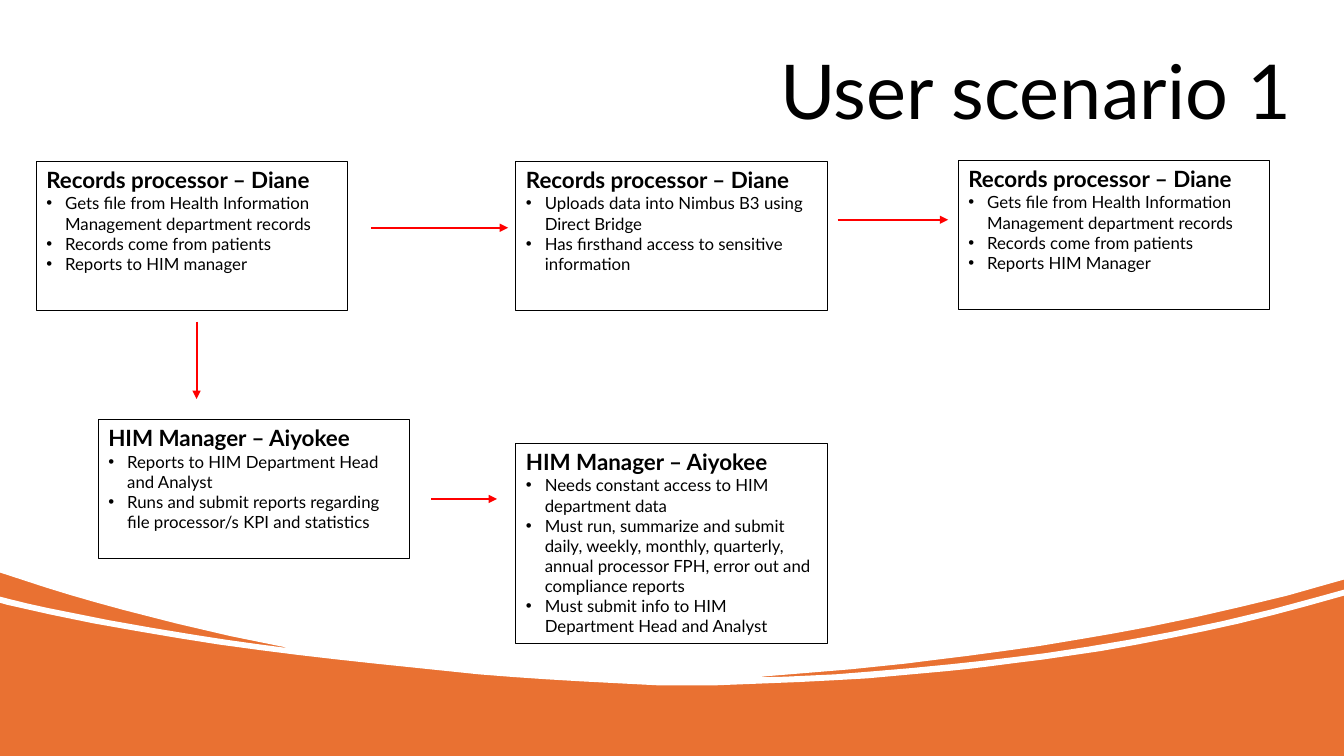
from pptx import Presentation
from pptx.dml.color import RGBColor
from pptx.enum.shapes import MSO_CONNECTOR as Line, MSO_SHAPE as Preset
from pptx.enum.text import MSO_ANCHOR as Anchor, MSO_AUTO_SIZE as AutoSize, PP_ALIGN as Align
from pptx.oxml.ns import qn
from pptx.util import Pt
from lxml.etree import SubElement

FONT = "Lato"
BLACK, WHITE, ORANGE, RED = "000000", "FFFFFF", "E97132", "FF0000"
SLIDE_WIDTH, SLIDE_HEIGHT = 960, 540
CARD_WIDTH = 222.4
BULLET_INDENT = 13.5

# White area above the wave: two numbers are a corner,
# six are two control points and the end of a curve
WAVE = [
    (0, 0), (960, 0), (960, 414), (949.7, 416.9),
    # Right crescent, upper then lower edge
    (939.6, 419.8, 929.5, 422.6, 919.4, 425.5),
    (887, 433.4, 853.9, 441.4, 820.8, 447.8),
    (794.9, 452.9, 768.2, 457.2, 742.3, 461.5),
    (717.1, 465.1, 691.2, 468.7, 666, 471.6),
    (646.6, 474.5, 627.1, 475.9, 607.7, 478.1),
    (547.2, 483.1), (535, 484.6), (542.2, 483.8),
    (560.2, 483.8, 578.9, 482.4, 596.9, 481.7),
    (624.2, 479.5, 651.6, 477.4, 679, 474.5),
    (701.3, 472.3, 724.3, 469.4, 746.6, 466.6),
    (776.9, 462.2, 807.1, 457.2, 836.6, 451.4),
    (873.4, 444.2, 909.4, 435.6, 944.6, 425.5),
    (960, 421.2), (960, 425.5), (931.7, 433.4),
    # Main crest, from right to left
    (907.9, 439.9, 884.9, 445.7, 861.1, 450.7),
    (836.6, 455.8, 811.4, 460.8, 786.2, 465.1),
    (765.4, 468, 744.5, 471.6, 723.6, 473.8),
    (707.8, 475.9, 691.2, 478.1, 675.4, 479.5), (619.2, 484.6),
    (594.7, 486, 570.2, 487.4, 545.8, 488.2),
    (509.8, 489.6), (470.9, 489.6), (414.7, 486.7),
    (390.2, 485.3, 366.5, 483.8, 342, 481.7), (265.7, 473.8),
    (239, 470.9, 212.4, 468, 185.8, 464.4),
    (156.2, 460.8, 126.7, 455.8, 97.2, 450.7),
    (66.2, 445.7, 36, 439.2, 5, 432),
    (0, 430.6), (0, 426.2), (5.8, 427.7),
    # Left crescent, lower then upper edge
    (19.4, 431.3, 33.1, 434.2, 47.5, 437),
    (77.8, 443.5, 108.7, 448.6, 139.7, 453.6),
    (161.3, 457.2, 183.6, 460.1, 205.9, 463), (203, 462.2),
    (164.2, 455, 126, 445.7, 87.8, 435.6),
    (69.1, 430.6, 51.1, 425.5, 33.1, 419.8), (0, 409),
]

# Cards: left, top, height, heading, tasks
PROCESSOR, MANAGER = "Records processor – Diane", "HIM Manager – Aiyokee"
INTAKE = ["Gets file from Health Information Management department records",
          "Records come from patients"]
CARDS = [
    (26, 115.2, 106.5, PROCESSOR, INTAKE + ["Reports to HIM manager"]),
    (368.6, 115.2, 106.5, PROCESSOR,
     ["Uploads data into Nimbus B3 using Direct Bridge",
      "Has firsthand access to sensitive information"]),
    (684.6, 114.5, 106.5, PROCESSOR, INTAKE + ["Reports HIM Manager"]),
    (70.3, 299.7, 99.2, MANAGER,
     ["Reports to HIM Department Head and Analyst",
      "Runs and submit reports regarding file processor/s KPI and statistics"]),
    (368.6, 316.6, 143, MANAGER,
     ["Needs constant access to HIM department data",
      "Must run, summarize and submit daily, weekly, monthly, quarterly, "
      "annual processor FPH, error out and compliance reports",
      "Must submit info to HIM Department Head and Analyst"]),
]

# Arrows: start x, start y, end x, end y
ARROWS = [(265, 162.7, 362.9, 162.7), (598.3, 157, 677.3, 157),
          (140.4, 229.7, 140.4, 285), (308.2, 356.4, 355, 356.4)]


def color(hex_value):
    return RGBColor.from_string(hex_value)


def apply(target, **values):
    for name, value in values.items():
        setattr(target, name, value)


def trace(segments, steps=3):
    """Corner points of an outline, with each curve cut into steps."""
    points = []
    for *controls, x, y in segments:
        if controls:
            (x0, y0), (x1, y1, x2, y2) = points[-1], controls
            for step in range(1, steps + 1):
                t = step / steps
                weights = ((1 - t) ** 3, 3 * t * (1 - t) ** 2, 3 * t ** 2 * (1 - t), t ** 3)
                points.append(tuple(
                    sum(w * v for w, v in zip(weights, axis))
                    for axis in ((x0, x1, x2, x), (y0, y1, y2, y))))
        else:
            points.append((x, y))
    return points


def paint(area, fill):
    area.shadow.inherit = False
    area.fill.solid()
    area.fill.fore_color.rgb = color(fill)
    area.line.fill.background()


def add_backdrop(slide):
    ground = slide.shapes.add_shape(
        Preset.RECTANGLE, 0, 0, Pt(SLIDE_WIDTH), Pt(SLIDE_HEIGHT))
    paint(ground, ORANGE)
    start, *corners = [(Pt(x), Pt(y)) for x, y in trace(WAVE)]
    outline = slide.shapes.build_freeform(*start)
    outline.add_line_segments(corners, close=True)
    paint(outline.convert_to_shape(), WHITE)


def write(paragraph, text, size, bold=False, align=Align.LEFT):
    apply(paragraph, text=text, alignment=align)
    apply(paragraph.font, name=FONT, size=Pt(size), bold=bold)
    paragraph.font.color.rgb = color(BLACK)


def add_bullet(paragraph):
    props = paragraph._p.get_or_add_pPr()
    props.set("marL", str(Pt(BULLET_INDENT)))
    props.set("indent", str(-Pt(BULLET_INDENT)))
    # The bullet must precede any default run properties
    props.insert(0, props.makeelement(qn("a:buFont"), {"typeface": "Arial"}))
    props.insert(1, props.makeelement(qn("a:buChar"), {"char": "•"}))


def set_title(slide, text):
    title = slide.shapes.title
    apply(title, left=Pt(549.4), top=Pt(27.4), width=Pt(380.9), height=Pt(72.7))
    apply(title.text_frame, auto_size=AutoSize.NONE, word_wrap=False,
          vertical_anchor=Anchor.MIDDLE)
    write(title.text_frame.paragraphs[0], text, 54, align=Align.CENTER)
    # Bring the title in front of the backdrop
    title._element.getparent().append(title._element)


def add_card(slide, left, top, height, heading, tasks):
    card = slide.shapes.add_shape(
        Preset.RECTANGLE, Pt(left), Pt(top), Pt(CARD_WIDTH), Pt(height))
    card.shadow.inherit = False
    card.fill.background()
    card.line.color.rgb = color(BLACK)
    card.line.width = Pt(0.75)
    frame = card.text_frame
    apply(frame, word_wrap=True, vertical_anchor=Anchor.TOP)
    write(frame.paragraphs[0], heading, 16, bold=True)
    for task in tasks:
        paragraph = frame.add_paragraph()
        write(paragraph, task, 12)
        add_bullet(paragraph)


def add_arrow(slide, *ends):
    arrow = slide.shapes.add_connector(Line.STRAIGHT, *map(Pt, ends))
    arrow.line.color.rgb = color(RED)
    arrow.line.width = Pt(1.5)
    SubElement(arrow.line._get_or_add_ln(), qn("a:tailEnd"), type="triangle")
    SubElement(arrow._element.spPr, qn("a:effectLst"))


def main():
    deck = Presentation()
    apply(deck, slide_width=Pt(SLIDE_WIDTH), slide_height=Pt(SLIDE_HEIGHT))
    slide = deck.slides.add_slide(deck.slide_layouts.get_by_name("Title Only"))

    # Orange wave across the foot of the slide
    add_backdrop(slide)

    # Scenario flow
    set_title(slide, "User scenario 1")
    for card in CARDS:
        add_card(slide, *card)
    for ends in ARROWS:
        add_arrow(slide, *ends)
    deck.save("out.pptx")


if __name__ == "__main__":
    main()
